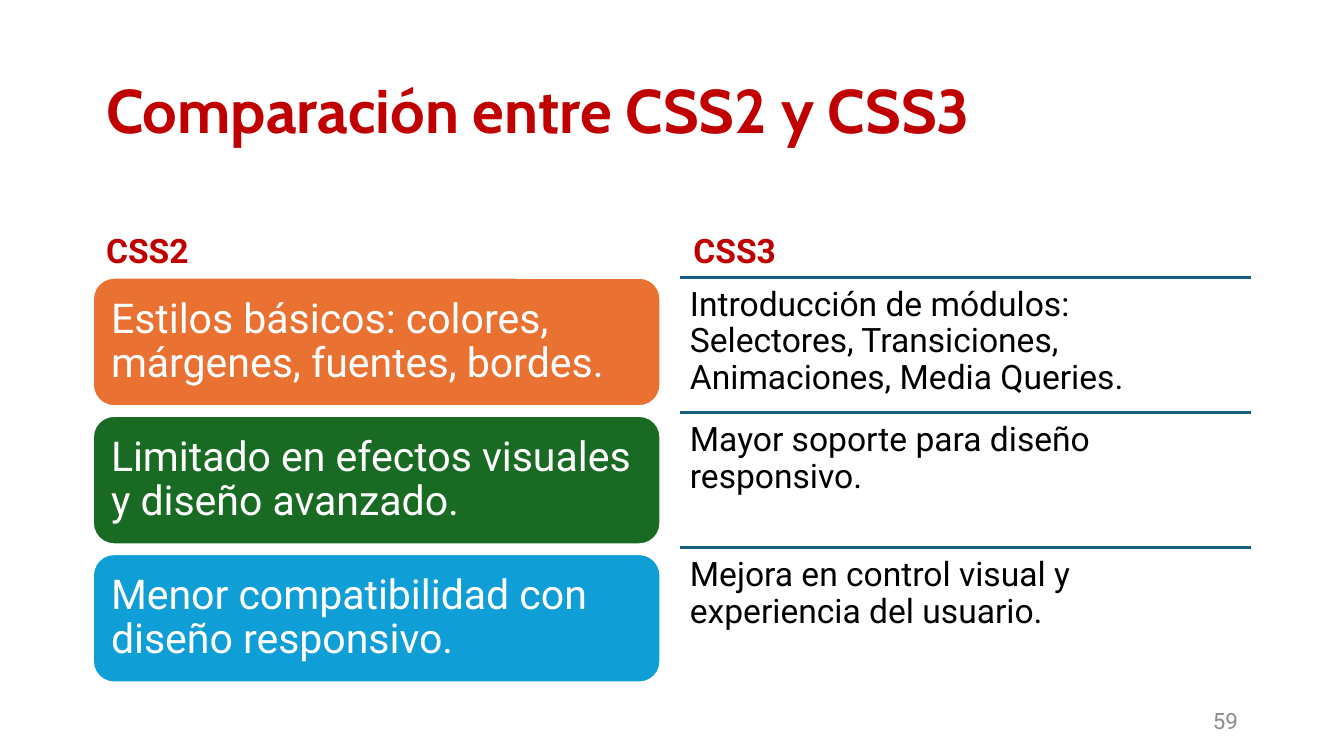
import dataclasses

import pptx
import pptx.dml.color
import pptx.enum.shapes
import pptx.enum.text
import pptx.util
from lxml import etree
from pptx.oxml.ns import qn

Cm = pptx.util.Cm
Pt = pptx.util.Pt
ANCHOR = pptx.enum.text.MSO_ANCHOR
ALIGN = pptx.enum.text.PP_ALIGN


@dataclasses.dataclass(frozen=True)
class Theme:
    title_font: str = "Cabin"
    body_font: str = "Roboto"
    heading: str = "C00000"
    text: str = "000000"
    inverse: str = "FFFFFF"
    rule: str = "156082"
    number: str = "8C8C8C"
    cards: tuple = ("E97132", "196B24", "0F9ED5")
    title_size: int = 33
    heading_size: int = 18
    card_size: int = 22
    list_size: int = 18
    number_size: int = 12
    line_width: float = 1.5


@dataclasses.dataclass(frozen=True)
class Box:
    """Position and size in centimetres."""
    x: float
    y: float
    w: float
    h: float

    def lengths(self):
        return Cm(self.x), Cm(self.y), Cm(self.w), Cm(self.h)

    def rows(self, count, gap=0):
        height = (self.h - gap * (count - 1)) / count
        return [Box(self.x, self.y + i * (height + gap), self.w, height)
                for i in range(count)]


THEME = Theme()


def rgb(value):
    return pptx.dml.color.RGBColor.from_string(value)


def write(sp, text, size, color, font=THEME.body_font, bold=False,
          anchor=ANCHOR.TOP, align=ALIGN.LEFT, spacing=0.9, inset=None):
    tf = sp.text_frame
    tf.text = text
    tf.word_wrap = True
    tf.auto_size = pptx.enum.text.MSO_AUTO_SIZE.NONE
    tf.vertical_anchor = anchor
    if inset is not None:
        tf.margin_left = tf.margin_right = Cm(inset)
        tf.margin_top = tf.margin_bottom = Cm(inset)
    p = tf.paragraphs[0]
    p.alignment = align
    p.line_spacing = spacing
    p.space_before = Pt(0)
    p.font.name = font
    p.font.size = Pt(size)
    p.font.bold = bold
    p.font.color.rgb = rgb(color)


def place(sp, box):
    sp.left, sp.top, sp.width, sp.height = box.lengths()


def add_title(sp, box, text):
    place(sp, box)
    write(sp, text, THEME.title_size, THEME.heading, font=THEME.title_font,
          bold=True, anchor=ANCHOR.MIDDLE)


def add_heading(sp, box, text):
    place(sp, box)
    write(sp, text, THEME.heading_size, THEME.heading, bold=True,
          anchor=ANCHOR.BOTTOM)


def add_cards(slide, box, items):
    """Stack of filled rounded cards."""
    rows = box.rows(len(items), gap=0.17)
    for row, text, color in zip(rows, items, THEME.cards):
        sp = slide.shapes.add_shape(
            pptx.enum.shapes.MSO_SHAPE.ROUNDED_RECTANGLE, *row.lengths())
        sp.shadow.inherit = False
        sp.fill.solid()
        sp.fill.fore_color.rgb = rgb(color)
        sp.line.color.rgb = rgb(THEME.inverse)
        sp.line.width = Pt(THEME.line_width)
        write(sp, text, THEME.card_size, THEME.inverse,
              anchor=ANCHOR.MIDDLE, inset=0.23)


def add_ruled_list(slide, box, items):
    """Paragraphs with a rule above each."""
    for row, text in zip(box.rows(len(items)), items):
        rule = slide.shapes.add_connector(
            pptx.enum.shapes.MSO_CONNECTOR.STRAIGHT,
            Cm(row.x), Cm(row.y), Cm(row.x + row.w), Cm(row.y))
        rule.line.color.rgb = rgb(THEME.rule)
        rule.line.width = Pt(THEME.line_width)
        etree.SubElement(rule._element.spPr, qn("a:effectLst"))
        sp = slide.shapes.add_textbox(*row.lengths())
        write(sp, text, THEME.list_size, THEME.text, inset=0.19)


def add_slide_number(slide, box, number):
    sp = slide.shapes.add_textbox(*box.lengths())
    write(sp, str(number), THEME.number_size, THEME.number,
          anchor=ANCHOR.MIDDLE, align=ALIGN.RIGHT, spacing=1.0)


def main():
    prs = pptx.Presentation()
    prs.slide_width, prs.slide_height = Cm(25.4), Cm(14.28)
    slide = prs.slides.add_slide(prs.slide_layouts.get_by_name("Comparison"))
    holders = {sp.placeholder_format.idx: sp for sp in slide.placeholders}

    # Title
    add_title(holders[0], Box(1.75, 0.76, 21.9, 2.77),
              "Comparación entre CSS2 y CSS3")

    # Left column: CSS2
    add_heading(holders[1], Box(1.75, 3.51, 10.74, 1.73), "CSS2")
    add_cards(slide, Box(1.75, 5.24, 10.74, 7.66), [
        "Estilos básicos: colores, márgenes, fuentes, bordes.",
        "Limitado en efectos visuales y diseño avanzado.",
        "Menor compatibilidad con diseño responsivo.",
    ])

    # Right column: CSS3
    add_heading(holders[3], Box(12.85, 3.51, 10.8, 1.73), "CSS3")
    add_ruled_list(slide, Box(12.85, 5.24, 10.8, 7.66), [
        "Introducción de módulos: Selectores, Transiciones, "
        "Animaciones, Media Queries.",
        "Mayor soporte para diseño responsivo.",
        "Mejora en control visual y experiencia del usuario.",
    ])

    # Slide number
    add_slide_number(slide, Box(17.93, 13.23, 5.72, 0.76), 59)

    # Unused content placeholders
    for idx in (2, 4):
        element = holders[idx]._element
        element.getparent().remove(element)

    prs.save("out.pptx")


if __name__ == "__main__":
    main()
